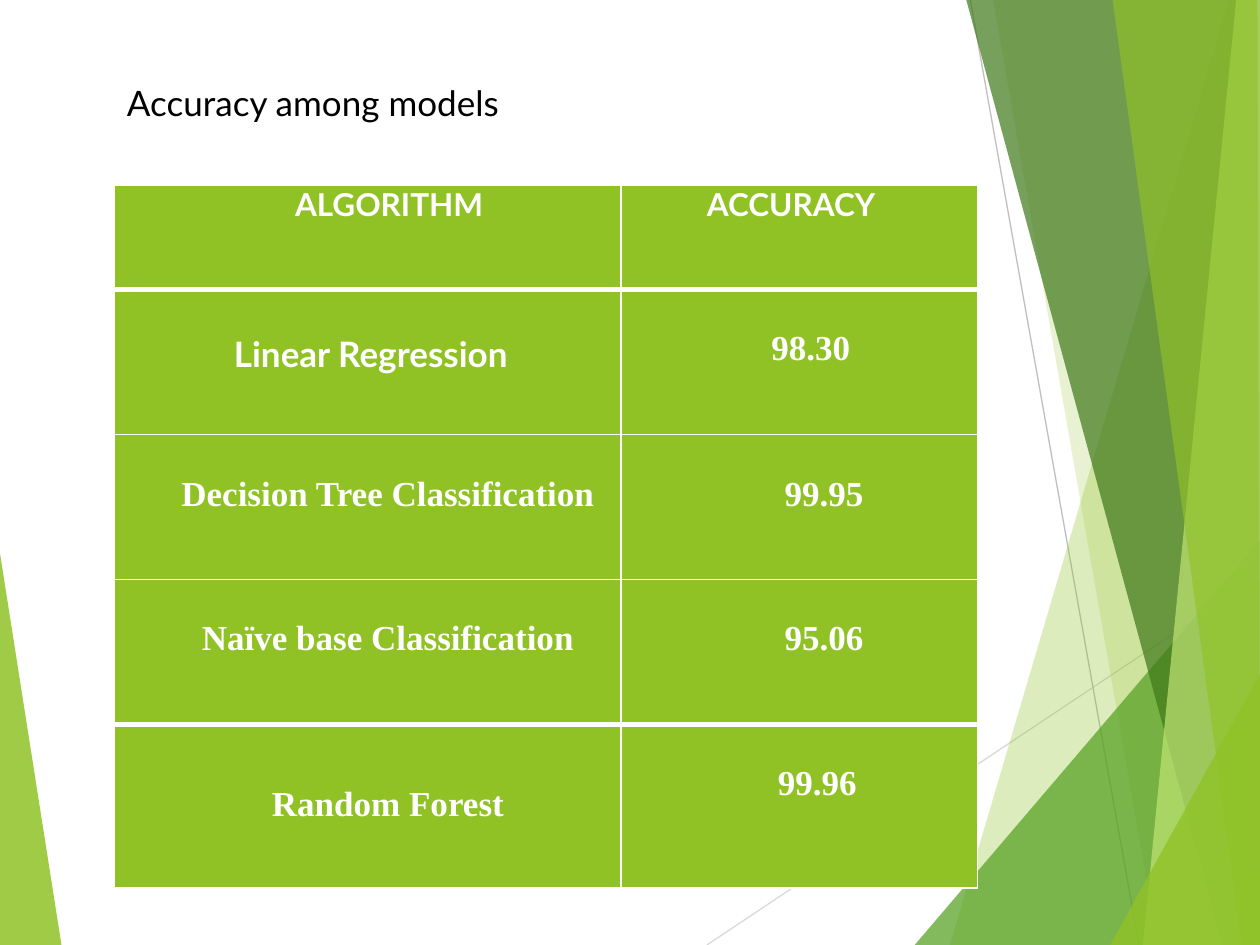
import pptx
import pptx.dml.color
import pptx.enum.shapes
import pptx.enum.text
import pptx.oxml
import pptx.oxml.ns
import pptx.util
from lxml import etree

Cm = pptx.util.Cm
WIDTH, HEIGHT = 25.4, 19.05
GREEN, WHITE = "90C226", "FFFFFF"
LATO, TIMES = "Lato", "Times New Roman"
CENTER = pptx.enum.text.PP_ALIGN.CENTER
LEFT = pptx.enum.text.PP_ALIGN.LEFT

LEFT_FACET = ([(0, 11.15), (1.24, HEIGHT), (0, HEIGHT)], GREEN, 85)
RIGHT_EDGE = [(WIDTH, HEIGHT), (WIDTH, 0)]
RIGHT_FACETS = [
    ([(24.77, 0), (19.15, HEIGHT), *RIGHT_EDGE], GREEN, 30),
    ([(20.02, 0), (23.34, HEIGHT), *RIGHT_EDGE], GREEN, 20),
    ([(18.44, HEIGHT), (WIDTH, 10.9), (WIDTH, HEIGHT)], "54A021", 72),
    ([(19.48, 0), (24.64, HEIGHT), *RIGHT_EDGE], "3F7819", 70),
    ([(24.92, 0), (23.04, HEIGHT), *RIGHT_EDGE], "C0E474", 70),
    ([(22.43, 0), (25.04, HEIGHT), (WIDTH, HEIGHT), (25.35, 0)], GREEN, 65),
    ([(22.38, HEIGHT), (WIDTH, 13.59), (WIDTH, HEIGHT)], GREEN, 80),
]

COLUMN_WIDTHS = [10.21, 7.19]
ROW_HEIGHTS = [2.11, 2.92, 2.92, 2.92, 3.3]
# text, font, size, alignment, left margin, top margin
ACCURACIES = [
    [("ALGORITHM", LATO, 18, CENTER, 0.86, 0), ("ACCURACY", LATO, 18, LEFT, 1.73, 0)],
    [("Linear Regression", LATO, 20, CENTER, 0.12, 0.86), ("98.30", TIMES, 20, CENTER, 0.46, 0.79)],
    [("Decision Tree Classification", TIMES, 20, CENTER, 0.81, 0.81), ("99.95", TIMES, 20, CENTER, 0.99, 0.81)],
    [("Naïve base Classification", TIMES, 20, CENTER, 0.81, 0.81), ("95.06", TIMES, 20, CENTER, 0.99, 0.81)],
    [("Random Forest", TIMES, 20, CENTER, 0.81, 1.22), ("99.96", TIMES, 20, LEFT, 3.16, 0.81)],
]


def rgb(color):
    return pptx.dml.color.RGBColor.from_string(color)


def add_facet(slide, corners, color, opacity):
    points = [(Cm(x), Cm(y)) for x, y in corners]
    builder = slide.shapes.build_freeform(*points[0], scale=1.0)
    builder.add_line_segments(points[1:], close=True)
    facet = builder.convert_to_shape()
    facet.shadow.inherit = False
    facet.fill.solid()
    facet.fill.fore_color.rgb = rgb(color)
    facet.line.fill.background()
    fill_color = facet.fill._xPr.find(".//" + pptx.oxml.ns.qn("a:srgbClr"))
    etree.SubElement(fill_color, pptx.oxml.ns.qn("a:alpha"), val=str(opacity * 1000))


def add_ray(slide, start, end, color):
    ray = slide.shapes.add_connector(
        pptx.enum.shapes.MSO_CONNECTOR.STRAIGHT, *map(Cm, start + end))
    ray.line.color.rgb = rgb(color)
    ray.line.width = pptx.util.Pt(0.75)
    etree.SubElement(ray._element.spPr, pptx.oxml.ns.qn("a:effectLst"))


def add_text(paragraph, text, font_name, size, color, bold=False):
    run = paragraph.add_run()
    run.text = text
    run.font.name = font_name
    run.font.size = pptx.util.Pt(size)
    run.font.bold = bold
    run.font.color.rgb = rgb(color)


def add_title(slide, text):
    title = slide.shapes.add_textbox(Cm(2.31), Cm(1.52), Cm(10.21), Cm(1.12))
    title.text_frame.word_wrap = True
    title.text_frame.auto_size = pptx.enum.text.MSO_AUTO_SIZE.SHAPE_TO_FIT_TEXT
    add_text(title.text_frame.paragraphs[0], text, LATO, 20, "000000")


def set_borders(cell, top, bottom):
    properties = cell._tc.get_or_add_tcPr()
    for side, points in (("L", 1), ("R", 1), ("T", top), ("B", bottom)):
        border = etree.SubElement(
            properties, pptx.oxml.ns.qn("a:ln" + side), w=str(pptx.util.Pt(points)))
        fill = etree.SubElement(border, pptx.oxml.ns.qn("a:solidFill"))
        etree.SubElement(fill, pptx.oxml.ns.qn("a:srgbClr"), val=WHITE)


def fill_cell(cell, text, font_name, size, alignment, left, top):
    cell.margin_left, cell.margin_top = Cm(left), Cm(top)
    cell.margin_right = cell.margin_bottom = 0
    cell.fill.solid()
    cell.fill.fore_color.rgb = rgb(GREEN)
    paragraph = cell.text_frame.paragraphs[0]
    paragraph.alignment = alignment
    add_text(paragraph, text, font_name, size, WHITE, bold=True)


def add_accuracy_table(slide):
    accuracy = slide.shapes.add_table(
        len(ROW_HEIGHTS), len(COLUMN_WIDTHS), Cm(2.31), Cm(3.73),
        Cm(sum(COLUMN_WIDTHS)), Cm(sum(ROW_HEIGHTS))).table
    for column, width in zip(accuracy.columns, COLUMN_WIDTHS):
        column.width = Cm(width)
    for row, height in zip(accuracy.rows, ROW_HEIGHTS):
        row.height = Cm(height)
    last = len(ROW_HEIGHTS) - 1
    rules = [3 if edge in (1, last) else 1 for edge in range(last + 2)]
    for index, entries in enumerate(ACCURACIES):
        for column, entry in enumerate(entries):
            cell = accuracy.cell(index, column)
            set_borders(cell, rules[index], rules[index + 1])
            fill_cell(cell, *entry)


def main():
    deck = pptx.Presentation()
    deck.slide_width, deck.slide_height = Cm(WIDTH), Cm(HEIGHT)
    slide = deck.slides.add_slide(deck.slide_layouts[6])
    add_facet(slide, *LEFT_FACET)
    add_ray(slide, (14.25, HEIGHT), (WIDTH, 11.61), "D9D9D9")
    add_ray(slide, (19.56, 0), (22.96, HEIGHT), "BFBFBF")
    for facet in RIGHT_FACETS:
        add_facet(slide, *facet)
    add_accuracy_table(slide)
    add_title(slide, "Accuracy among models")
    deck.save("out.pptx")


if __name__ == "__main__":
    main()
